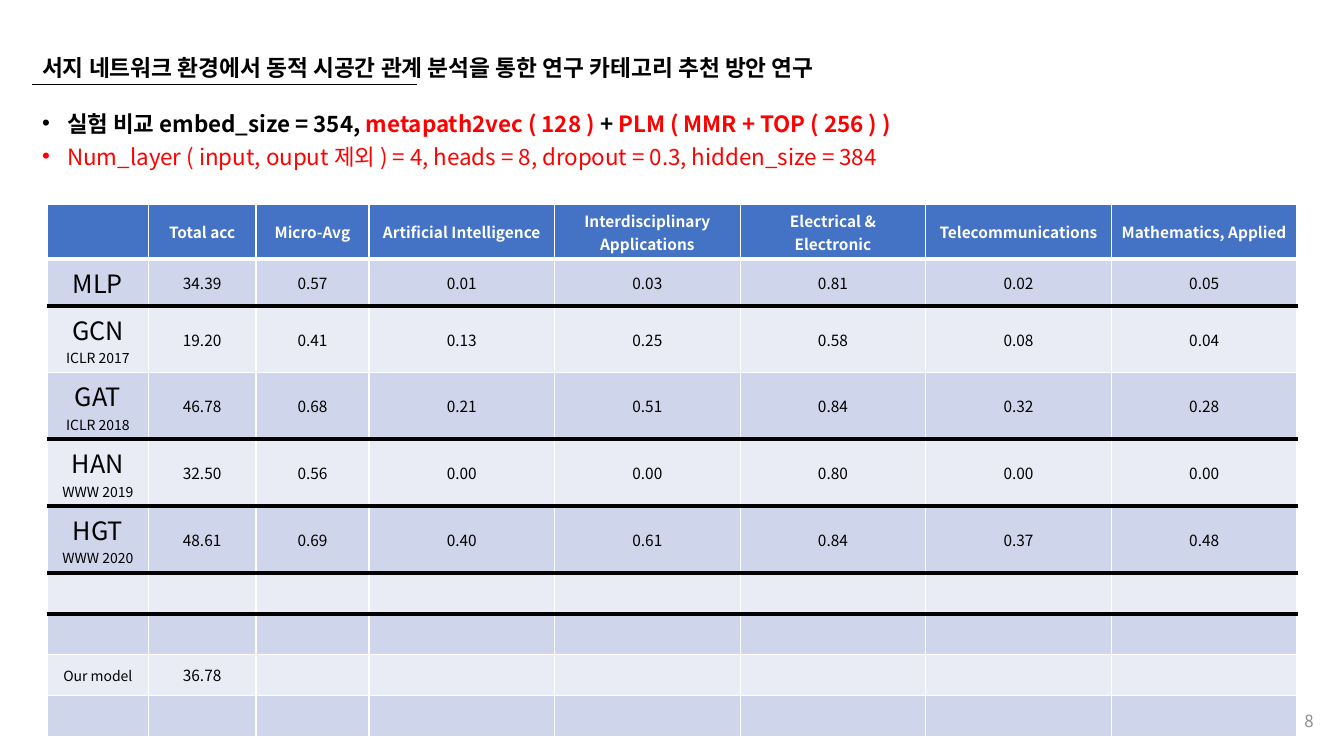
from collections import namedtuple
from dataclasses import dataclass

from lxml.etree import SubElement
from pptx import Presentation
from pptx.dml.color import RGBColor as Color
from pptx.enum.shapes import MSO_CONNECTOR as Connector
from pptx.enum.text import MSO_ANCHOR as Anchor, PP_ALIGN as Align
from pptx.oxml.ns import qn
from pptx.util import Pt

Box = namedtuple("Box", "left top width height")


@dataclass(frozen=True)
class Theme:
    font: str = "Noto Sans CJK KR"
    black: str = "000000"
    white: str = "FFFFFF"
    red: str = "FF0000"
    grey: str = "8C8C8C"
    header: str = "4472C4"
    dark_band: str = "CFD5EA"
    light_band: str = "E9EBF5"
    title_size: float = 16.2
    body_size: float = 16
    number_size: float = 12
    model_size: float = 18
    cell_size: float = 11
    note_size: float = 10


THEME = Theme()

HEADINGS = ["", "Total acc", "Micro-Avg", "Artificial Intelligence",
            "Interdisciplinary Applications", "Electrical & Electronic",
            "Telecommunications", "Mathematics, Applied"]
# Model, venue, scores
RESULTS = [
    ("MLP", "", "34.39 0.57 0.01 0.03 0.81 0.02 0.05"),
    ("GCN ", "ICLR 2017", "19.20 0.41 0.13 0.25 0.58 0.08 0.04"),
    ("GAT ", "ICLR 2018", "46.78 0.68 0.21 0.51 0.84 0.32 0.28"),
    ("HAN ", "WWW 2019", "32.50 0.56 0.00 0.00 0.80 0.00 0.00"),
    ("HGT ", "WWW 2020", "48.61 0.69 0.40 0.61 0.84 0.37 0.48"),
    ("", "", ""),
    ("", "", ""),
    ("", "Our model", "36.78"),
    ("", "", ""),
]
COLUMN_WIDTHS = [72, 77, 80.7] + [132.6] * 5
ROW_HEIGHTS = [39, 33.3] + [47.7] * 4 + [29.2] * 4
RULED_ROWS = {1, 3, 4, 5, 6}  # rows closed by a thick black rule


def add_run(para, text, size, color, bold=False):
    run = para.add_run()
    run.text = text
    font = run.font
    font.name, font.size, font.bold = THEME.font, Pt(size), bold
    font.color.rgb = Color.from_string(color)
    SubElement(font._element, qn("a:ea"), typeface=THEME.font)


def add_text_frame(page, box, anchor):
    frame = page.shapes.add_textbox(*map(Pt, box)).text_frame
    frame.word_wrap = True
    frame.vertical_anchor = anchor
    return frame


def add_title(page, box):
    # Thin rule below the title
    bottom = Pt(box.top + box.height - 0.7)
    rule = page.shapes.add_connector(
        Connector.STRAIGHT, Pt(box.left), bottom, Pt(box.left + 275), bottom)
    rule.line.color.rgb = Color.from_string(THEME.black)
    rule.line.width = Pt(0.5)
    SubElement(rule._element.spPr, qn("a:effectLst"))
    # Title text
    para = add_text_frame(page, box, Anchor.MIDDLE).paragraphs[0]
    add_run(para, "서지 네트워크 환경에서 동적 시공간 관계 분석을 통한 연구 카테고리 추천 방안 연구",
            THEME.title_size, THEME.black, True)


def add_settings(page, box):
    bullets = [
        [("실험 비교 embed_size = 354, ", THEME.black, True),
         ("metapath2vec ( 128 )", THEME.red, True),
         (" + ", THEME.black, True),
         ("PLM ( MMR + TOP ( 256 ) )", THEME.red, True)],
        [("Num_layer ( input, ouput 제외 ) = 4, heads = 8, dropout = 0.3, "
          "hidden_size = 384", THEME.red, False)],
    ]
    frame = add_text_frame(page, box, Anchor.TOP)
    for index, parts in enumerate(bullets):
        para = frame.add_paragraph() if index else frame.paragraphs[0]
        para.line_spacing = 0.8
        if index:
            para.space_before = Pt(8.5)
        layout = para._p.get_or_add_pPr()
        layout.set("marL", str(Pt(18)))
        layout.set("indent", str(-Pt(18)))
        SubElement(layout, qn("a:buFont"), typeface="Arial")
        SubElement(layout, qn("a:buChar"), char="•")
        for text, color, bold in parts:
            add_run(para, text, THEME.body_size, color, bold)


def set_border(cell, side, color, width):
    line = SubElement(cell._tc.get_or_add_tcPr(), qn(f"a:ln{side}"), w=str(Pt(width)))
    fill = SubElement(line, qn("a:solidFill"))
    SubElement(fill, qn("a:srgbClr"), val=color)


def rule_below(row):
    if row in RULED_ROWS:
        return THEME.black, 3
    return THEME.white, 3 if row == 0 else 1


def style_cell(cell, row):
    borders = {"L": (THEME.white, 1), "R": (THEME.white, 1),
               "T": rule_below(row - 1), "B": rule_below(row)}
    for side, (color, width) in borders.items():
        set_border(cell, side, color, width)
    band = THEME.dark_band if row % 2 else THEME.light_band
    cell.fill.solid()
    cell.fill.fore_color.rgb = Color.from_string(band if row else THEME.header)
    cell.vertical_anchor = Anchor.MIDDLE


def cell_parts(row, column):
    """Return the (text, size) parts of one cell."""
    if row == 0:
        return [(HEADINGS[column], THEME.cell_size)]
    model, note, scores = RESULTS[row - 1]
    if column == 0:
        return [(model, THEME.model_size), (note, THEME.note_size)]
    return [(score, THEME.cell_size) for score in scores.split()[column - 1:column]]


def add_results(page, box):
    table = page.shapes.add_table(
        len(ROW_HEIGHTS), len(COLUMN_WIDTHS), *map(Pt, box)).table
    for column, width in zip(table.columns, COLUMN_WIDTHS):
        column.width = Pt(width)
    for row, height in enumerate(ROW_HEIGHTS):
        table.rows[row].height = Pt(height)
        color = THEME.black if row else THEME.white
        for column in range(len(COLUMN_WIDTHS)):
            cell = table.cell(row, column)
            style_cell(cell, row)
            para = cell.text_frame.paragraphs[0]
            para.alignment = Align.CENTER
            for text, size in cell_parts(row, column):
                if text:
                    add_run(para, text, size, color, row == 0)
            # Keeps empty cells from stretching their row
            para._p.get_or_add_endParaRPr().set("sz", str(THEME.cell_size * 100))


def add_page_number(page, box):
    para = add_text_frame(page, box, Anchor.MIDDLE).paragraphs[0]
    para.alignment = Align.RIGHT
    add_run(para, "8", THEME.number_size, THEME.grey)


def main():
    deck = Presentation()
    deck.slide_width, deck.slide_height = Pt(960), Pt(540)
    page = deck.slides.add_slide(deck.slide_layouts[6])
    add_title(page, Box(23, 35.3, 699, 26))
    add_page_number(page, Box(729.4, 500.4, 216, 28.8))
    add_settings(page, Box(23, 78.5, 922.3, 422))
    add_results(page, Box(33.9, 146.2, sum(COLUMN_WIDTHS), sum(ROW_HEIGHTS)))
    deck.save("out.pptx")


if __name__ == "__main__":
    main()
